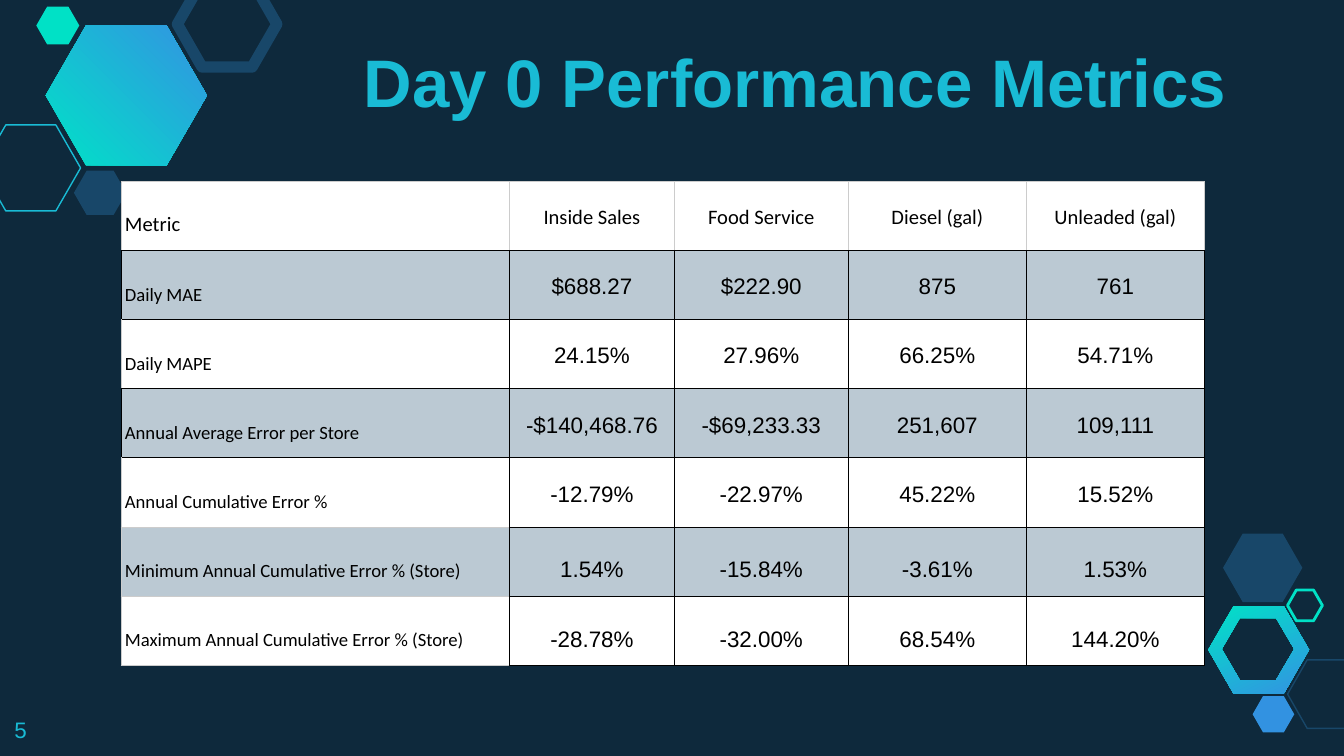
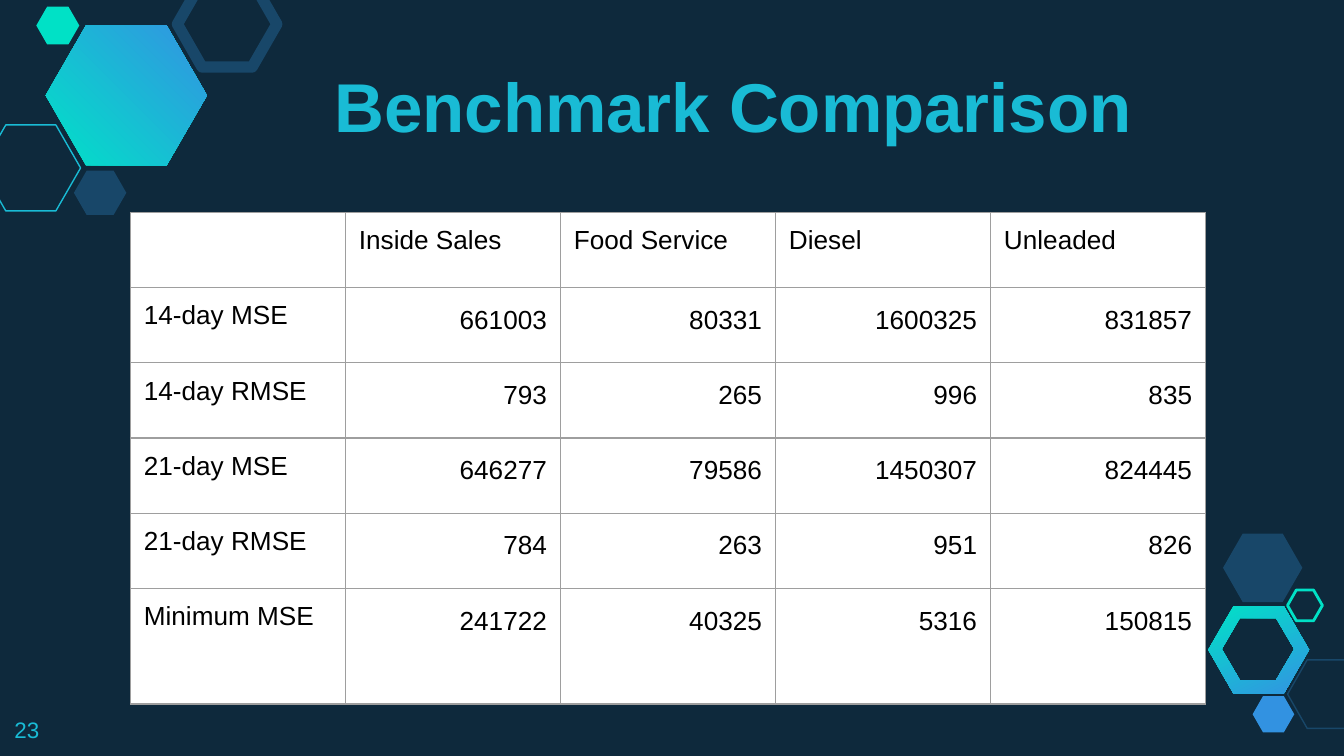
from dataclasses import dataclass

from lxml import etree
from pptx import Presentation
from pptx.dml.color import RGBColor
from pptx.enum.shapes import MSO_SHAPE
from pptx.enum.text import MSO_ANCHOR, PP_ALIGN
from pptx.oxml.ns import qn
from pptx.util import Inches, Pt

HEXAGON = MSO_SHAPE.HEXAGON
TOP, MIDDLE, BOTTOM = MSO_ANCHOR.TOP, MSO_ANCHOR.MIDDLE, MSO_ANCHOR.BOTTOM
LEFT, CENTER, RIGHT = PP_ALIGN.LEFT, PP_ALIGN.CENTER, PP_ALIGN.RIGHT


@dataclass(frozen=True)
class Theme:
    navy: str = "0E293C"
    steel: str = "184769"
    cyan: str = "19BBD5"
    teal: str = "00E2C7"
    mint: str = "00E1C6"
    blue: str = "3393E2"
    azure: str = "3292E1"
    white: str = "FFFFFF"
    black: str = "000000"
    band: str = "BBC9D3"
    light_rule: str = "CCCCCC"
    gray_rule: str = "9E9E9E"
    font: str = "Arial"
    table_font: str = "Calibri"
    number_size: int = 12
    header_size: int = 11
    label_size: int = 10
    value_size: int = 12
    benchmark_size: int = 14
    spacing: float = 1.15


THEME = Theme()
SLIDE_SIZE = (10, 5.625)
NUMBER_BOX = (0.01, 5.23, 0.6, 0.39)

BIG_HEXAGON = (0.34, 0.19, 1.2, 1.04)
RING_OUTER = (8.99, 4.51, 0.75, 0.65)
RING_INNER = (9.09, 4.6, 0.54, 0.46)
FILLED_HEXAGONS = [
    ((0.55, 1.27, 0.39, 0.33), THEME.steel),
    ((0.27, 0.05, 0.32, 0.28), THEME.mint),
    ((9.32, 5.18, 0.31, 0.27), THEME.azure),
    ((9.1, 3.97, 0.59, 0.51), THEME.steel),
]
OUTLINED_HEXAGONS = [
    ((-0.14, 0.93, 0.74, 0.64), THEME.cyan, 0.75),
    ((1.32, -0.14, 0.74, 0.64), THEME.steel, 6),
    ((9.58, 4.91, 0.59, 0.51), THEME.steel, 0.75),
    ((9.58, 4.39, 0.26, 0.23), THEME.mint, 1.5),
]

METRICS = [
    ("Metric", "Inside Sales", "Food Service", "Diesel (gal)", "Unleaded (gal)"),
    ("Daily MAE", "$688.27", "$222.90", "875", "761"),
    ("Daily MAPE", "24.15%", "27.96%", "66.25%", "54.71%"),
    ("Annual Average Error per Store", "-$140,468.76", "-$69,233.33", "251,607", "109,111"),
    ("Annual Cumulative Error %", "-12.79%", "-22.97%", "45.22%", "15.52%"),
    ("Minimum Annual Cumulative Error % (Store)", "1.54%", "-15.84%", "-3.61%", "1.53%"),
    ("Maximum Annual Cumulative Error % (Store)", "-28.78%", "-32.00%", "68.54%", "144.20%"),
]
METRIC_COLUMNS = [2.89, 1.23, 1.29, 1.33, 1.32]
METRIC_HEIGHT = 3.6
HEADER_LIGHT_SIDES = "LTR"
LABEL_LIGHT_SIDES = ["LTR", "", "L", "", "LB", "LTB", "LTB"]
FIRST_STORE_ROW = 5

BENCHMARKS = [
    ("", "Inside Sales", "Food Service", "Diesel", "Unleaded"),
    ("14-day MSE", "661003", "80331", "1600325", "831857"),
    ("14-day RMSE", "793", "265", "996", "835"),
    ("21-day MSE", "646277", "79586", "1450307", "824445"),
    ("21-day RMSE", "784", "263", "951", "826"),
    ("Minimum MSE", "241722", "40325", "5316", "150815"),
]
BENCHMARK_COLUMNS = [1.6] * 5
BENCHMARK_ROWS = [0.56] * 5 + [0.86]


def rgb(color):
    return RGBColor.from_string(color)


def inches(box):
    return [Inches(length) for length in box]


def write_text(frame, text, size, font=THEME.font, color=THEME.black, bold=False,
               align=LEFT, spacing=None):
    paragraph = frame.paragraphs[0]
    paragraph.alignment = align
    paragraph.line_spacing = spacing
    if text:
        run = paragraph.add_run()
        run.text = text
        run.font.name, run.font.size, run.font.bold = font, Pt(size), bold
        run.font.color.rgb = rgb(color)


def add_text(slide, box, text, **text_format):
    frame = slide.shapes.add_textbox(*inches(box)).text_frame
    frame.word_wrap = True
    frame.margin_left = frame.margin_right = Inches(0.1)
    frame.margin_top = frame.margin_bottom = Inches(0.1)
    write_text(frame, text, color=THEME.cyan, **text_format)


def hexagon_points(box):
    left, top, width, height = box
    corners = [(0, 0.5), (0.25, 0), (0.75, 0), (1, 0.5), (0.75, 1), (0.25, 1)]
    return [(Inches(left + x * width), Inches(top + y * height)) for x, y in corners]


def add_gradient_hexagon(slide, outer, angle, inner=None):
    points = hexagon_points(outer)
    builder = slide.shapes.build_freeform(*points[0])
    builder.add_line_segments(points[1:])
    if inner:
        hole = hexagon_points(inner)[::-1]
        builder.move_to(*hole[0])
        builder.add_line_segments(hole[1:])
    shape = builder.convert_to_shape()
    shape.shadow.inherit = False
    shape.line.fill.background()
    shape.fill.gradient()
    shape.fill.gradient_angle = angle
    for stop, color in zip(shape.fill.gradient_stops, (THEME.teal, THEME.blue)):
        stop.color.rgb = rgb(color)


def add_hexagon(slide, box, fill=None, line=None, width=0):
    shape = slide.shapes.add_shape(HEXAGON, *inches(box))
    shape.adjustments[0] = 0.287
    shape.shadow.inherit = False
    if fill:
        shape.fill.solid()
        shape.fill.fore_color.rgb = rgb(fill)
        shape.line.fill.background()
    else:
        shape.fill.background()
        shape.line.color.rgb = rgb(line)
        shape.line.width = Pt(width)


def add_base_slide(presentation, number, title, title_box, title_size):
    slide = presentation.slides.add_slide(presentation.slide_layouts[6])
    add_gradient_hexagon(slide, RING_OUTER, 296, inner=RING_INNER)
    add_gradient_hexagon(slide, BIG_HEXAGON, 45)
    for box, color in FILLED_HEXAGONS:
        add_hexagon(slide, box, fill=color)
    for box, color, width in OUTLINED_HEXAGONS:
        add_hexagon(slide, box, line=color, width=width)
    add_text(slide, NUMBER_BOX, str(number), size=THEME.number_size)
    add_text(slide, title_box, title, size=title_size, bold=True)
    return slide


def set_borders(cell, width, color, light_sides=""):
    properties = cell._tc.get_or_add_tcPr()
    for side in "LRTB":
        border = etree.SubElement(properties, qn(f"a:ln{side}"), w=str(Pt(width)))
        fill = etree.SubElement(border, qn("a:solidFill"))
        side_color = THEME.light_rule if side in light_sides else color
        etree.SubElement(fill, qn("a:srgbClr"), val=side_color)


def add_table(slide, left, top, rows, widths, heights, cell_style):
    box = inches((left, top, sum(widths), sum(heights)))
    table = slide.shapes.add_table(len(rows), len(widths), *box).table
    table.first_row = table.horz_banding = False
    for column, width in zip(table.columns, widths):
        column.width = Inches(width)
    for row, height in zip(table.rows, heights):
        row.height = Inches(height)
    for row_index, values in enumerate(rows):
        for column_index, text in enumerate(values):
            cell = table.cell(row_index, column_index)
            style = cell_style(row_index, column_index)
            set_borders(cell, *style["border"])
            cell.fill.solid()
            cell.fill.fore_color.rgb = rgb(style["fill"])
            cell.margin_left = cell.margin_right = Inches(style["margin"])
            cell.margin_top = cell.margin_bottom = Inches(0.1)
            cell.vertical_anchor = style["anchor"]
            write_text(cell.text_frame, text, **style["text"])


def metric_style(row, column):
    is_label, is_header = column == 0, row == 0
    light_sides = HEADER_LIGHT_SIDES if is_header else ""
    size = THEME.value_size
    if is_label:
        light_sides = LABEL_LIGHT_SIDES[row]
        size = THEME.label_size
    if is_header:
        size = THEME.header_size
    return {
        "border": (0.5, THEME.black, light_sides),
        "fill": THEME.band if row % 2 else THEME.white,
        "margin": 0.03,
        "anchor": BOTTOM if is_label or row >= FIRST_STORE_ROW else MIDDLE,
        "text": {
            "size": size,
            "font": THEME.table_font if is_label or is_header else THEME.font,
            "align": LEFT if is_label else CENTER,
            "spacing": THEME.spacing,
        },
    }


def benchmark_style(row, column):
    is_value = row > 0 and column > 0
    return {
        "border": (0.75, THEME.gray_rule),
        "fill": THEME.white,
        "margin": 0.1,
        "anchor": TOP,
        "text": {
            "size": THEME.benchmark_size,
            "align": RIGHT if is_value else LEFT,
            "spacing": THEME.spacing if is_value else None,
        },
    }


def main():
    presentation = Presentation()
    presentation.slide_width, presentation.slide_height = inches(SLIDE_SIZE)
    background = presentation.slide_master.background.fill
    background.solid()
    background.fore_color.rgb = rgb(THEME.navy)

    slide = add_base_slide(presentation, 5, "Day 0 Performance Metrics",
                           (2.61, 0.2, 7.49, 0.81), 36)
    metric_rows = [METRIC_HEIGHT / len(METRICS)] * len(METRICS)
    add_table(slide, 0.9, 1.35, METRICS, METRIC_COLUMNS, metric_rows, metric_style)

    slide = add_base_slide(presentation, 23, "Benchmark Comparison",
                           (2.39, 0.37, 6.42, 0.82), 37)
    add_table(slide, 0.97, 1.58, BENCHMARKS, BENCHMARK_COLUMNS, BENCHMARK_ROWS,
              benchmark_style)

    presentation.save("out.pptx")


if __name__ == "__main__":
    main()
